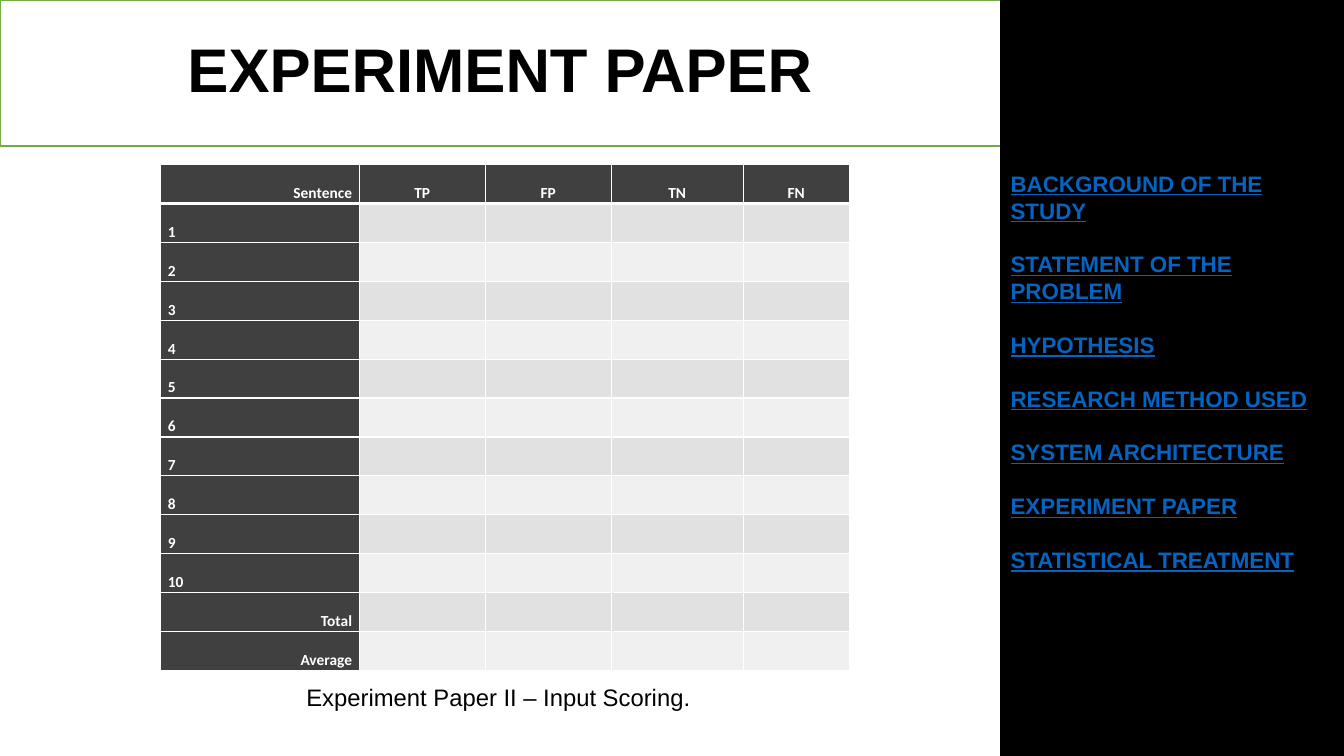
from dataclasses import dataclass

from lxml.etree import SubElement
from pptx import Presentation
from pptx.dml.color import RGBColor
from pptx.enum.shapes import MSO_SHAPE
from pptx.enum.text import MSO_ANCHOR, MSO_AUTO_SIZE, PP_ALIGN
from pptx.oxml.ns import qn
from pptx.util import Cm, Pt


@dataclass(frozen=True)
class Theme:
    black: str = "000000"
    white: str = "FFFFFF"
    green: str = "70AD47"
    link: str = "0563C1"
    heading_cell: str = "404040"
    bands: tuple = ("E1E1E1", "F0F0F0")
    text_font: str = "Arial"
    table_font: str = "Calibri"
    title_size: int = 44
    caption_size: int = 17
    menu_size: int = 16
    table_size: int = 11


THEME = Theme()
MENU_LINE = Pt(19.2)
MENU_ITEMS = (
    "BACKGROUND OF THE STUDY",
    "STATEMENT OF THE PROBLEM",
    "HYPOTHESIS",
    "RESEARCH METHOD USED",
    "SYSTEM ARCHITECTURE",
    "EXPERIMENT PAPER",
    "STATISTICAL TREATMENT",
)
SCORE_HEADINGS = ("Sentence", "TP", "FP", "TN", "FN")
SCORE_ROWS = (*(str(number) for number in range(1, 11)), "Total", "Average")
COLUMN_SHARES = (1.97, 1.25, 1.25, 1.31, 1.05)


def add_run(paragraph, text, size, color, font_name=THEME.text_font, bold=False, underline=False):
    run = paragraph.add_run()
    run.text = text
    run.font.name = font_name
    run.font.size = Pt(size)
    run.font.bold = bold
    run.font.underline = underline
    run.font.color.rgb = RGBColor.from_string(color)


def paint(shape, fill, line):
    shape.fill.solid()
    shape.fill.fore_color.rgb = RGBColor.from_string(fill)
    shape.line.color.rgb = RGBColor.from_string(line)
    shape.line.width = Pt(1)


def fill_title(slide, left, top, width, height):
    title = slide.shapes.title
    title.left, title.top, title.width, title.height = left, top, width, height
    paint(title, THEME.white, THEME.green)
    title.text_frame.vertical_anchor = MSO_ANCHOR.MIDDLE
    paragraph = title.text_frame.paragraphs[0]
    paragraph.alignment = PP_ALIGN.CENTER
    paragraph.line_spacing = 0.9
    add_run(paragraph, "EXPERIMENT PAPER", THEME.title_size, THEME.black, bold=True)


def add_black_panel(slide, left, top, width, height):
    panel = slide.shapes.add_shape(MSO_SHAPE.RECTANGLE, left, top, width, height)
    panel.shadow.inherit = False
    paint(panel, THEME.black, THEME.black)
    return panel


def add_sidebar(slide, left, top, width, height):
    """Place the black column and the menu panel on its upper part."""
    add_black_panel(slide, left, top, width, height)
    menu = add_black_panel(slide, left, top + Cm(0.08), width, Cm(14.63))
    frame = menu.text_frame
    frame.word_wrap = True
    frame.vertical_anchor = MSO_ANCHOR.TOP
    frame.margin_top = Cm(4.2)
    for index, item in enumerate(MENU_ITEMS):
        paragraph = frame.add_paragraph() if index else frame.paragraphs[0]
        paragraph.alignment = PP_ALIGN.LEFT
        paragraph.line_spacing = MENU_LINE
        paragraph.space_after = MENU_LINE
        add_run(paragraph, item, THEME.menu_size, THEME.link, bold=True, underline=True)


def set_borders(cell, widths):
    """Draw white borders; widths maps each side letter to points."""
    properties = cell._tc.get_or_add_tcPr()
    for side, width in widths.items():
        border = SubElement(properties, qn(f"a:ln{side}"), w=str(Pt(width)))
        fill = SubElement(border, qn("a:solidFill"))
        SubElement(fill, qn("a:srgbClr"), val=THEME.white)


def format_cell(cell, row, column):
    cell.margin_left = cell.margin_right = Cm(0.18)
    cell.margin_top = cell.margin_bottom = 0
    set_borders(cell, {"L": 1, "R": 1, "T": 3 if row == 1 else 1, "B": 3 if row == 0 else 1})
    is_heading = row == 0 or column == 0
    color = THEME.heading_cell if is_heading else THEME.bands[(row - 1) % 2]
    cell.fill.solid()
    cell.fill.fore_color.rgb = RGBColor.from_string(color)


def write_heading(cell, text):
    paragraph = cell.text_frame.paragraphs[0]
    paragraph.line_spacing = 2.0
    if text.isdigit():
        paragraph.alignment = PP_ALIGN.LEFT
    elif text in SCORE_HEADINGS[1:]:
        paragraph.alignment = PP_ALIGN.CENTER
    else:
        paragraph.alignment = PP_ALIGN.RIGHT
    add_run(paragraph, text, THEME.table_size, THEME.white, THEME.table_font, bold=True)


def add_score_table(slide, left, top, width, height):
    row_count = len(SCORE_ROWS) + 1
    table = slide.shapes.add_table(
        row_count, len(SCORE_HEADINGS), left, top, width, height
    ).table
    for column, share in zip(table.columns, COLUMN_SHARES):
        column.width = round(width * share / sum(COLUMN_SHARES))
    for row_index, row in enumerate(table.rows):
        row.height = round(height / row_count)
        for column_index, cell in enumerate(row.cells):
            format_cell(cell, row_index, column_index)
    for column_index, heading in enumerate(SCORE_HEADINGS):
        write_heading(table.cell(0, column_index), heading)
    for row_index, label in enumerate(SCORE_ROWS, start=1):
        write_heading(table.cell(row_index, 0), label)


def add_caption(slide, left, top, width, height):
    caption = slide.shapes.add_textbox(left, top, width, height)
    frame = caption.text_frame
    frame.word_wrap = False
    frame.auto_size = MSO_AUTO_SIZE.SHAPE_TO_FIT_TEXT
    add_run(
        frame.paragraphs[0],
        "Experiment Paper II – Input Scoring.",
        THEME.caption_size,
        THEME.black,
    )


def main():
    presentation = Presentation()
    presentation.slide_width = Cm(33.87)
    presentation.slide_height = Cm(19.05)
    slide = presentation.slides.add_slide(presentation.slide_layouts[5])
    main_width = Cm(25.22)
    fill_title(slide, 0, 0, main_width, Cm(3.68))
    add_sidebar(
        slide, main_width, 0, presentation.slide_width - main_width, presentation.slide_height
    )
    add_caption(slide, Cm(7.47), Cm(17.09), Cm(10.31), Cm(1.7))
    add_score_table(slide, Cm(4.05), Cm(4.15), Cm(17.35), Cm(12.75))
    presentation.save("out.pptx")


if __name__ == "__main__":
    main()
